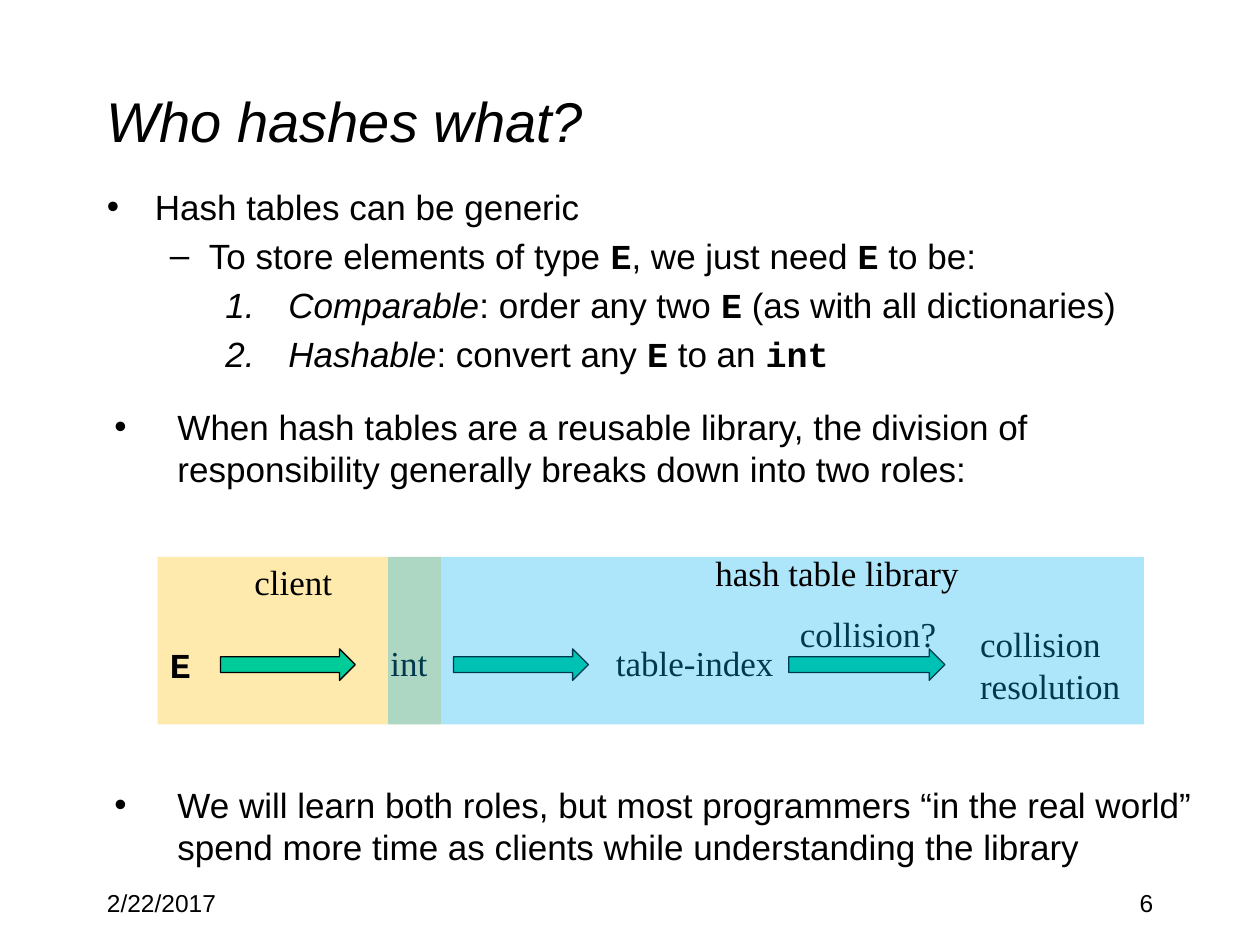
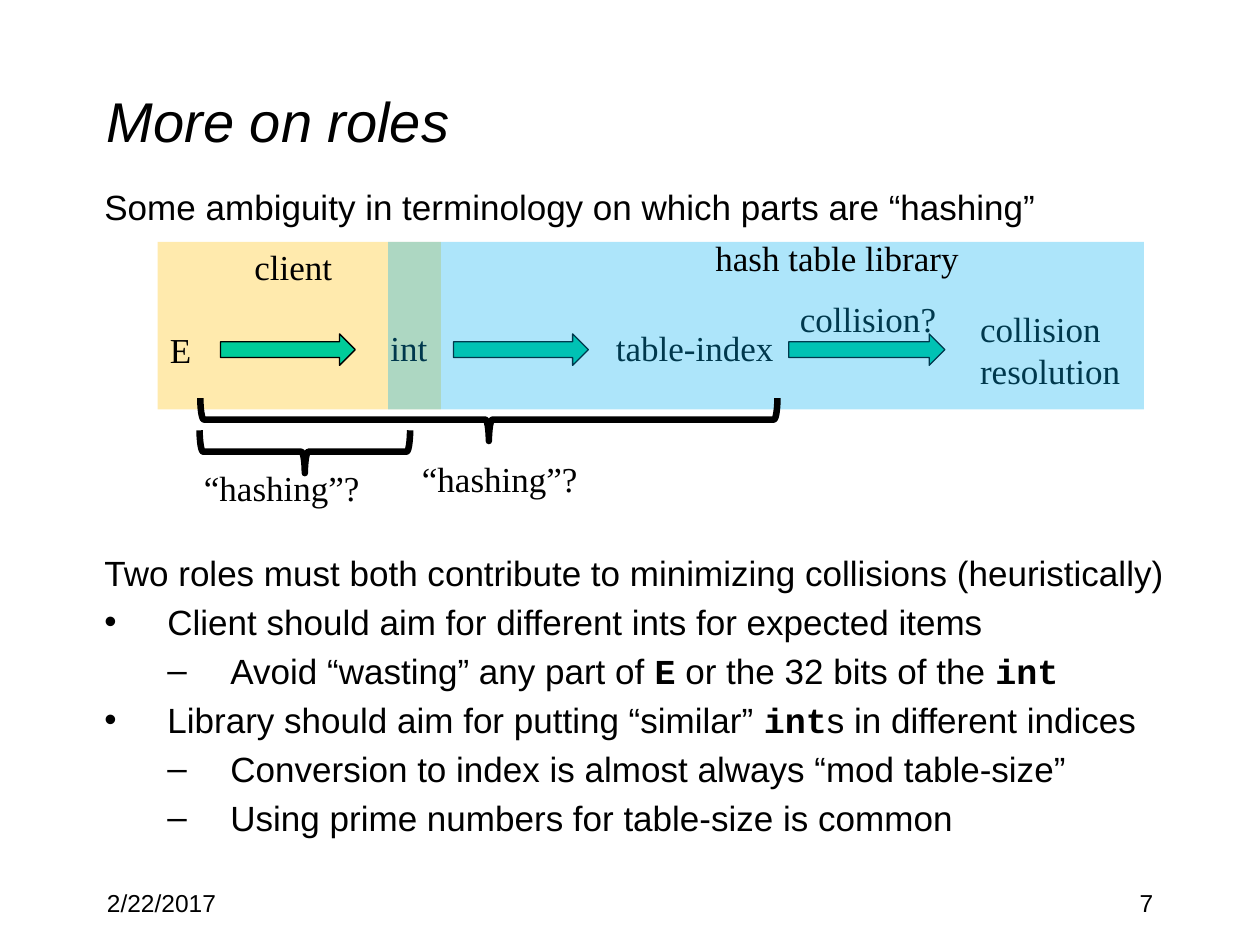
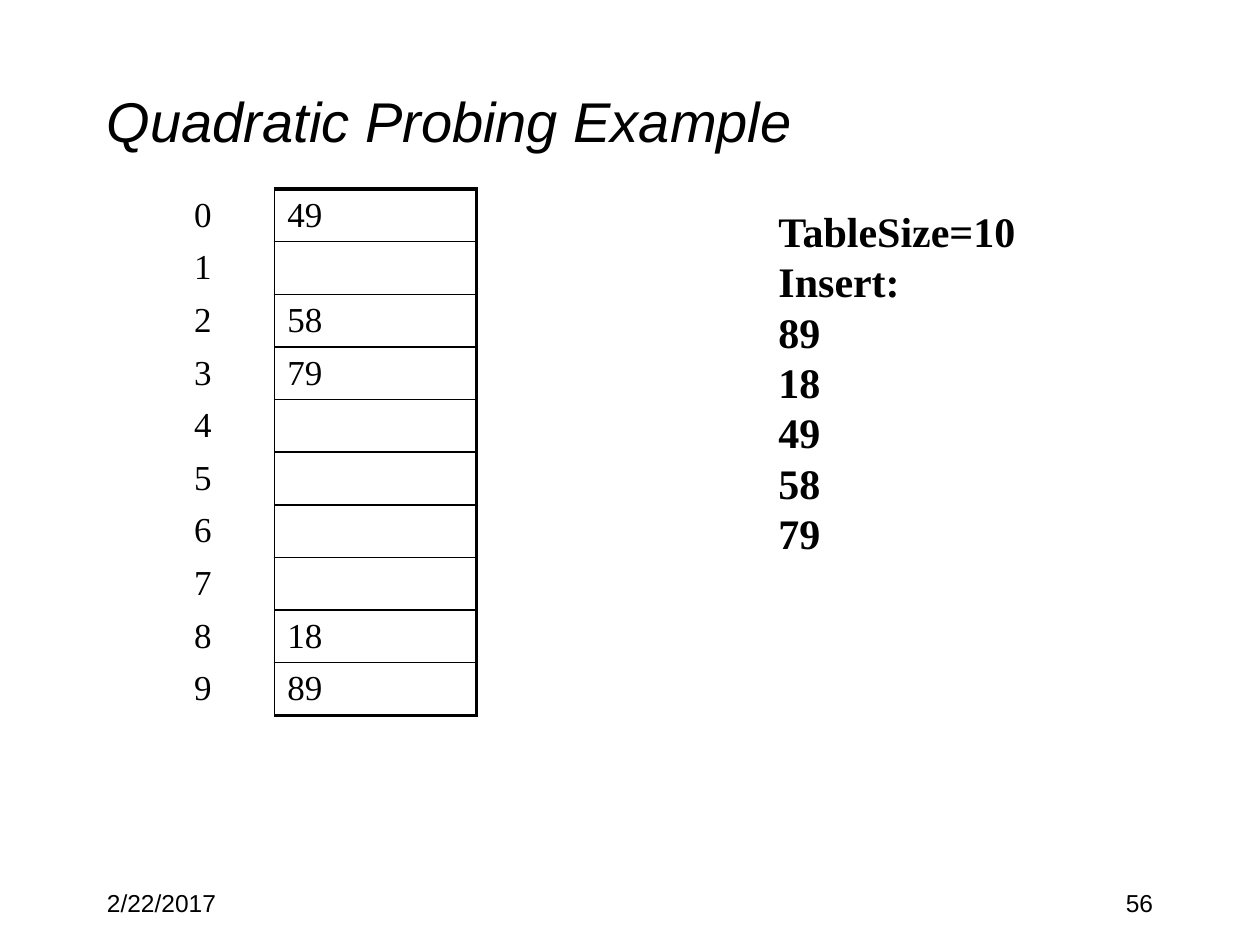
from dataclasses import dataclass
from typing import NamedTuple, Optional

import pptx
import pptx.dml.color
import pptx.enum.shapes
import pptx.enum.text
import pptx.oxml.ns
import pptx.shapes.autoshape
import pptx.slide
import pptx.text.text
import pptx.util
from lxml import etree

Inches = pptx.util.Inches
Pt = pptx.util.Pt
RGB = pptx.dml.color.RGBColor
SHAPE = pptx.enum.shapes.MSO_SHAPE
ALIGN = pptx.enum.text.PP_ALIGN
ANCHOR = pptx.enum.text.MSO_ANCHOR
FIT = pptx.enum.text.MSO_AUTO_SIZE
qn = pptx.oxml.ns.qn


# Theme
@dataclass(frozen=True)
class Theme:
    ink: str = "000000"
    client: str = "FFC000"
    library: str = "00B0F0"
    arrow: str = "00CC99"
    sans: str = "Arial"
    serif: str = "Times New Roman"
    mono: str = "Courier New"
    title: float = 32
    body: float = 20
    aside: float = 24
    footer: float = 14
    panel_alpha: int = 32
    thin: float = 0.75
    brace: float = 3.75
    grid: float = 1
    frame: float = 2.25


T = Theme()
DATE = "2/22/2017"
TITLE_STYLE = {"name": T.sans, "size": Pt(T.title), "italic": True}
BODY_STYLE = {"name": T.sans, "size": Pt(T.body)}
CODE_STYLE = {"name": T.mono, "size": Pt(T.body), "bold": True}
LABEL_STYLE = {"name": T.serif, "size": Pt(T.body)}
ASIDE_STYLE = {"name": T.serif, "size": Pt(T.aside), "bold": True}
FOOTER_STYLE = {"name": T.sans, "size": Pt(T.footer)}


# Repeated elements
class Box(NamedTuple):
    left: float
    top: float
    width: float
    height: float

    def down(self, dy: float) -> "Box":
        return self._replace(top=self.top + dy)

    def lengths(self) -> list:
        return [Inches(v) for v in self]


class Item(NamedTuple):
    """A list paragraph; parts between backticks are code, lead is italic."""
    text: str
    bullet: str = ""
    level: int = 0
    indent: float = 0.56
    hang: float = 0.5
    lead: str = ""
    before: float = 4


class Label(NamedTuple):
    text: str
    box: Box
    style: dict = LABEL_STYLE


class Form(NamedTuple):
    kind: int
    box: Box
    fill: Optional[str] = None
    alpha: int = 100
    line: float = 0
    rotation: float = 0


# Drawing
def add_run(p: pptx.text.text._Paragraph, text: str, style: dict) -> None:
    r = p.add_run()
    r.text = text
    for name, value in style.items():
        setattr(r.font, name, value)
    r.font.color.rgb = RGB.from_string(T.ink)


def add_frame(s: pptx.slide.Slide, box: Box, **settings) -> pptx.text.text.TextFrame:
    tf = s.shapes.add_textbox(*box.lengths()).text_frame
    for name, value in {"word_wrap": True, **settings}.items():
        setattr(tf, name, value)
    return tf


def add_lines(s: pptx.slide.Slide, label: Label, align: int = ALIGN.LEFT, **settings) -> None:
    tf = add_frame(s, label.box, **settings)
    for i, line in enumerate(label.text.split("\n")):
        p = tf.add_paragraph() if i else tf.paragraphs[0]
        p.alignment = align
        add_run(p, line, label.style)


def add_label(s: pptx.slide.Slide, label: Label) -> None:
    add_lines(s, label, word_wrap=False, auto_size=FIT.SHAPE_TO_FIT_TEXT)


def set_bullet(p: pptx.text.text._Paragraph, item: Item) -> None:
    pPr = p._p.get_or_add_pPr()
    pPr.set("marL", str(Inches(item.indent)))
    pPr.set("indent", str(-Inches(item.hang)))
    if not item.bullet:
        etree.SubElement(pPr, qn("a:buNone"))
        return
    etree.SubElement(pPr, qn("a:buFont"), typeface=T.sans)
    if item.bullet == "1.":
        etree.SubElement(pPr, qn("a:buAutoNum"), type="arabicPeriod")
    else:
        etree.SubElement(pPr, qn("a:buChar"), char=item.bullet)


def add_items(s: pptx.slide.Slide, box: Box, items: list[Item]) -> None:
    tf = add_frame(s, box)
    for i, item in enumerate(items):
        p = tf.add_paragraph() if i else tf.paragraphs[0]
        p.level = item.level
        p.space_before = Pt(item.before)
        set_bullet(p, item)
        if item.lead:
            add_run(p, item.lead, {**BODY_STYLE, "italic": True})
        for j, part in enumerate(item.text.split("`")):
            if part:
                add_run(p, part, CODE_STYLE if j % 2 else BODY_STYLE)


def add_form(s: pptx.slide.Slide, form: Form) -> pptx.shapes.autoshape.Shape:
    sp = s.shapes.add_shape(form.kind, *form.box.lengths())
    sp.shadow.inherit = False
    sp.rotation = form.rotation
    if form.fill:
        sp.fill.solid()
        sp.fill.fore_color.rgb = RGB.from_string(form.fill)
        if form.alpha < 100:
            color = sp.fill._xPr.find(".//" + qn("a:srgbClr"))
            etree.SubElement(color, qn("a:alpha"), val=str(form.alpha * 1000))
    else:
        sp.fill.background()
    if form.line:
        sp.line.color.rgb = RGB.from_string(T.ink)
        sp.line.width = Pt(form.line)
    else:
        sp.line.fill.background()
    return sp


def add_slide(prs: pptx.presentation.Presentation, title: str, number: int) -> pptx.slide.Slide:
    s = prs.slides.add_slide(prs.slide_layouts[6])
    add_lines(s, Label(title, Box(0.75, 0.33, 8.5, 1.25), TITLE_STYLE),
              vertical_anchor=ANCHOR.MIDDLE)
    add_lines(s, Label(DATE, Box(0.75, 7, 2.08, 0.5), FOOTER_STYLE))
    add_lines(s, Label(str(number), Box(7.17, 7, 2.08, 0.5), FOOTER_STYLE), ALIGN.RIGHT)
    return s


# Diagram of the two roles, measured from the top of its panels
def panel(left: float, width: float, color: str) -> Form:
    return Form(SHAPE.RECTANGLE, Box(left, 0, width, 1.33), color, T.panel_alpha)


def arrow(left: float, width: float) -> Form:
    return Form(SHAPE.RIGHT_ARROW, Box(left, 0.73, width, 0.25), T.arrow, line=T.thin)


def add_roles(s: pptx.slide.Slide, top: float, element_style: dict) -> None:
    parts = [
        panel(1.25, 2.25, T.client),
        Label("E", Box(1.25, 0.64, 0.37, 0.44), element_style),
        arrow(1.75, 1.07),
        Label("int", Box(3, 0.62, 0.5, 0.44)),
        Label("table-index", Box(4.79, 0.62, 1.46, 0.44)),
        arrow(3.6, 1.07),
        arrow(6.26, 1.24),
        Label("collision?", Box(6.25, 0.39, 1.29, 0.44)),
        Label("collision\nresolution", Box(7.68, 0.47, 1.32, 0.77)),
        Label("client", Box(1.92, -0.02, 0.82, 0.44)),
        panel(3.08, 6, T.library),
        Label("hash table library", Box(5.58, -0.09, 2.14, 0.44)),
    ]
    for part in parts:
        placed = part._replace(box=part.box.down(top))
        if isinstance(placed, Form):
            add_form(s, placed)
        else:
            add_label(s, placed)


# Hash table with its slot numbers
def set_borders(cell: pptx.table._Cell, widths: dict[str, float]) -> None:
    tcPr = cell._tc.get_or_add_tcPr()
    for side in "LRTB":
        width = widths.get(side, 0)
        ln = etree.SubElement(tcPr, qn("a:ln" + side), w=str(Pt(width)))
        if width:
            fill = etree.SubElement(ln, qn("a:solidFill"))
            etree.SubElement(fill, qn("a:srgbClr"), val=T.ink)
        else:
            etree.SubElement(ln, qn("a:noFill"))


def fill_cell(cell: pptx.table._Cell, text: str, borders: dict[str, float]) -> None:
    cell.vertical_anchor = ANCHOR.MIDDLE
    cell.margin_top = cell.margin_bottom = Inches(0.03)
    set_borders(cell, borders)
    cell.fill.background()
    if text:
        add_run(cell.text_frame.paragraphs[0], text, LABEL_STYLE)


def add_hash_table(s: pptx.slide.Slide, box: Box, slots: dict[int, int], size: int) -> None:
    table = s.shapes.add_table(size, 2, *box.lengths()).table
    table.first_row = table.horz_banding = False
    for column, width in zip(table.columns, (0.74, 1.6)):
        column.width = Inches(width)
    for i, row in enumerate(table.rows):
        row.height = Inches(box.height / size)
        fill_cell(table.cell(i, 0), str(i), {"R": T.grid})
        fill_cell(table.cell(i, 1), str(slots.get(i, "")), {
            "L": T.grid,
            "R": T.frame,
            "T": T.grid if i else T.frame,
            "B": T.grid if i < size - 1 else T.frame,
        })


# Slides
def who_hashes_what(prs: pptx.presentation.Presentation) -> None:
    s = add_slide(prs, "Who hashes what?", 6)
    add_items(s, Box(0.75, 1.42, 8.92, 2.75), [
        Item("Hash tables can be generic", "•", 0, 0.38, 0.38),
        Item("To store elements of type `E`, we just need `E` to be:", "–", 1, 0.81, 0.31),
        Item(": order any two `E` (as with all dictionaries)", "1.", 2, 1.44, lead="Comparable"),
        Item(": convert any `E` to an `int`", "1.", 2, 1.44, lead="Hashable"),
        Item("When hash tables are a reusable library, the division of "
             "responsibility generally breaks down into two roles:", "•", before=18),
    ])
    add_items(s, Box(0.75, 6.17, 8.92, 0.75), [
        Item("We will learn both roles, but most programmers “in the real world” "
             "spend more time as clients while understanding the library", "•"),
    ])
    add_roles(s, 4.42, CODE_STYLE)


def more_on_roles(prs: pptx.presentation.Presentation) -> None:
    s = add_slide(prs, "More on roles", 7)
    add_items(s, Box(0.67, 4.33, 8.92, 2.67), [
        Item("Two roles must both contribute to minimizing collisions (heuristically)"),
        Item("Client should aim for different ints for expected items", "•"),
        Item("Avoid “wasting” any part of `E` or the 32 bits of the `int`", "–", 1, 1.06),
        Item("Library should aim for putting “similar” `int`s in different indices", "•"),
        Item("Conversion to index is almost always “mod table-size”", "–", 1, 1.06),
        Item("Using prime numbers for table-size is common", "–", 1, 1.06),
    ])
    add_roles(s, 1.92, LABEL_STYLE)
    add_items(s, Box(0.67, 1.42, 8.92, 0.75), [
        Item("Some ambiguity in terminology on which parts are “hashing”"),
    ])
    for brace, label in (
        (Box(2.25, 2.75, 0.34, 1.67), Box(1.52, 3.65, 1.45, 0.44)),
        (Box(3.71, 1.04, 0.34, 4.58), Box(3.25, 3.58, 1.45, 0.44)),
    ):
        add_form(s, Form(SHAPE.LEFT_BRACE, brace, line=T.brace, rotation=270))
        add_label(s, Label("“hashing”?", label))


def quadratic_probing(prs: pptx.presentation.Presentation) -> None:
    s = add_slide(prs, "Quadratic Probing Example", 56)
    slots = {0: 49, 2: 58, 3: 79, 8: 18, 9: 89}
    add_hash_table(s, Box(1.44, 1.5, 2.34, 4.18), slots, 10)
    add_lines(s, Label("TableSize=10\nInsert:\n89\n18\n49\n58\n79",
                       Box(6.08, 1.58, 2.42, 2.93), ASIDE_STYLE),
              auto_size=FIT.SHAPE_TO_FIT_TEXT)


def main() -> None:
    prs = pptx.Presentation()
    prs.slide_width, prs.slide_height = Inches(10), Inches(7.5)
    for build in (who_hashes_what, more_on_roles, quadratic_probing):
        build(prs)
    prs.save("out.pptx")


if __name__ == "__main__":
    main()
